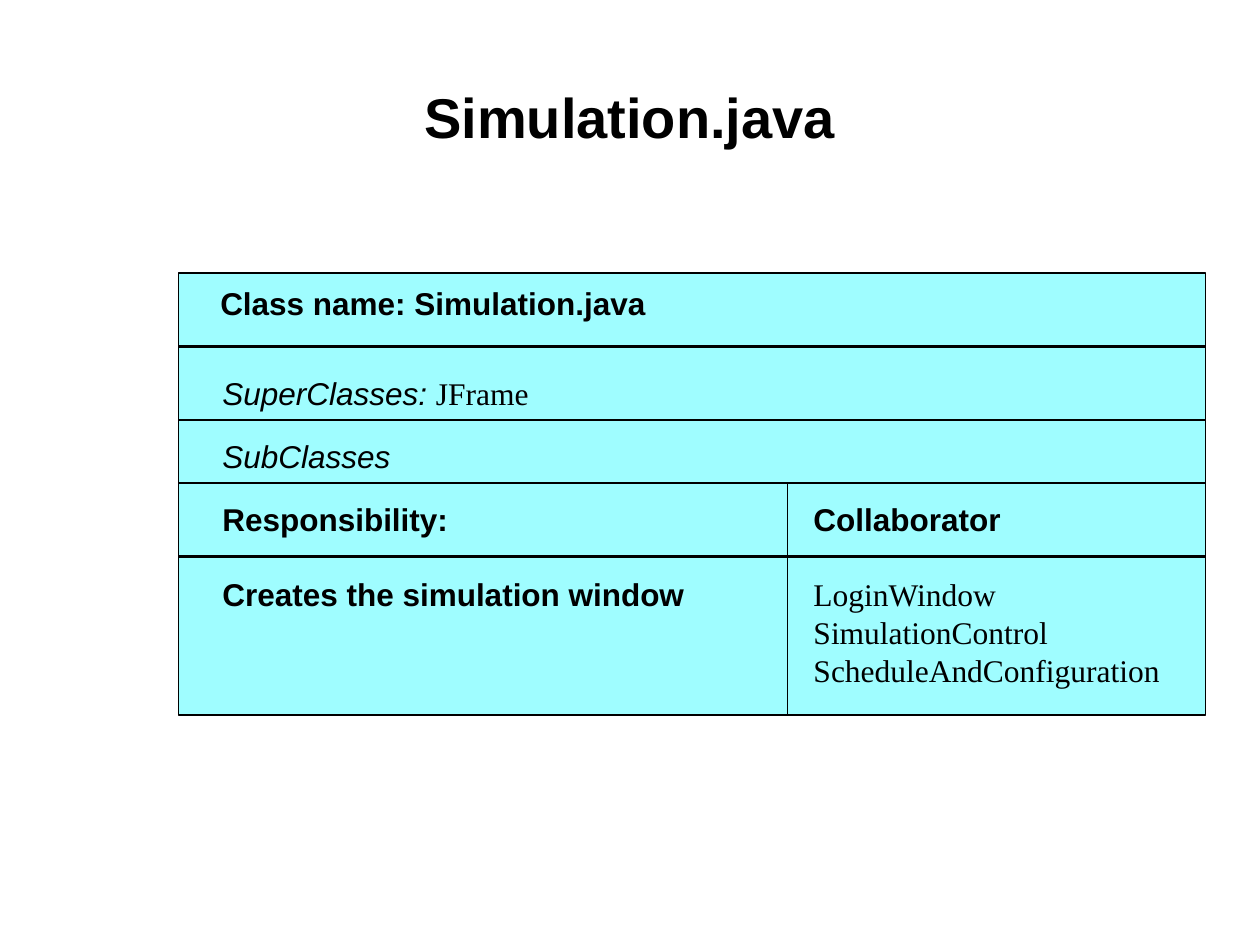
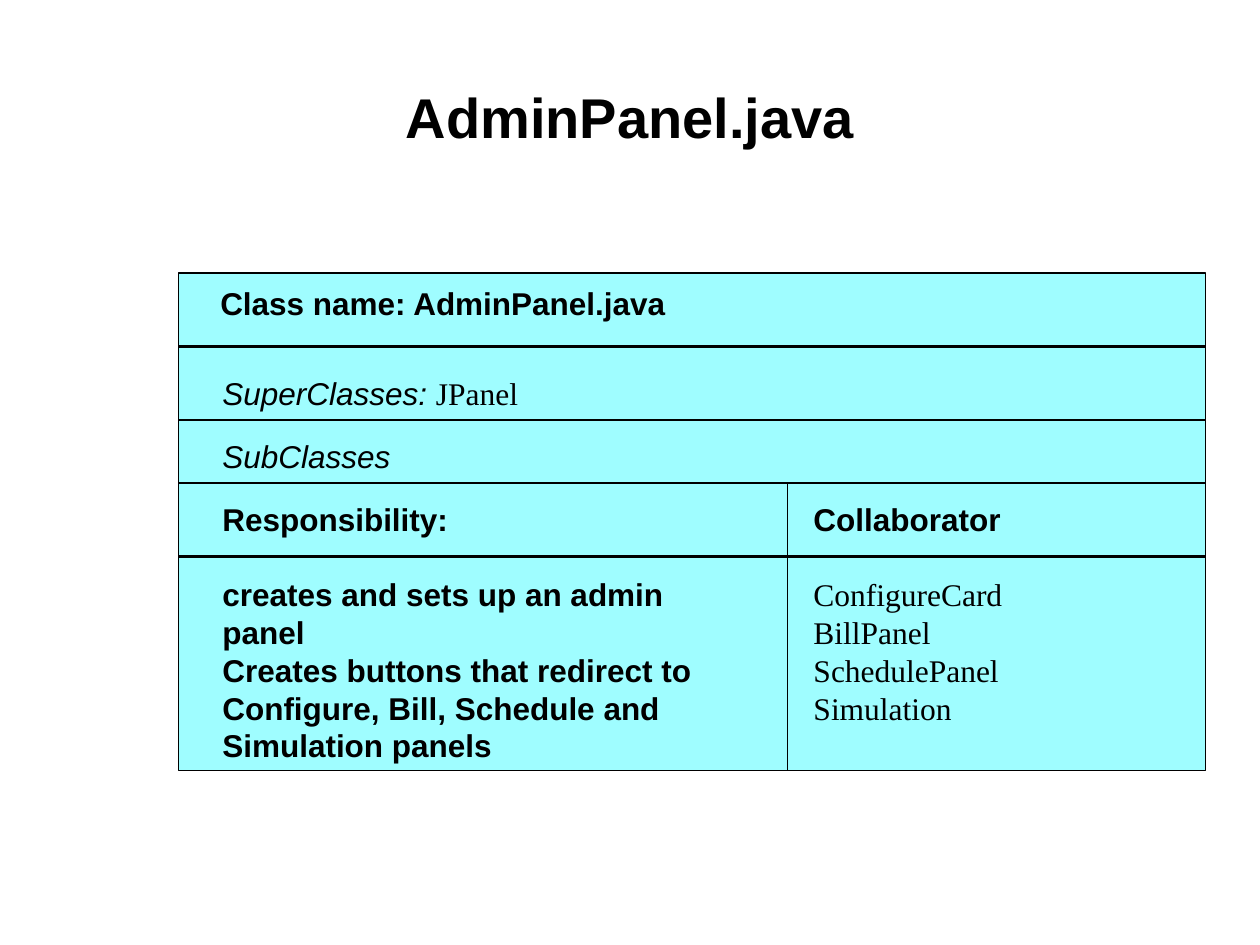
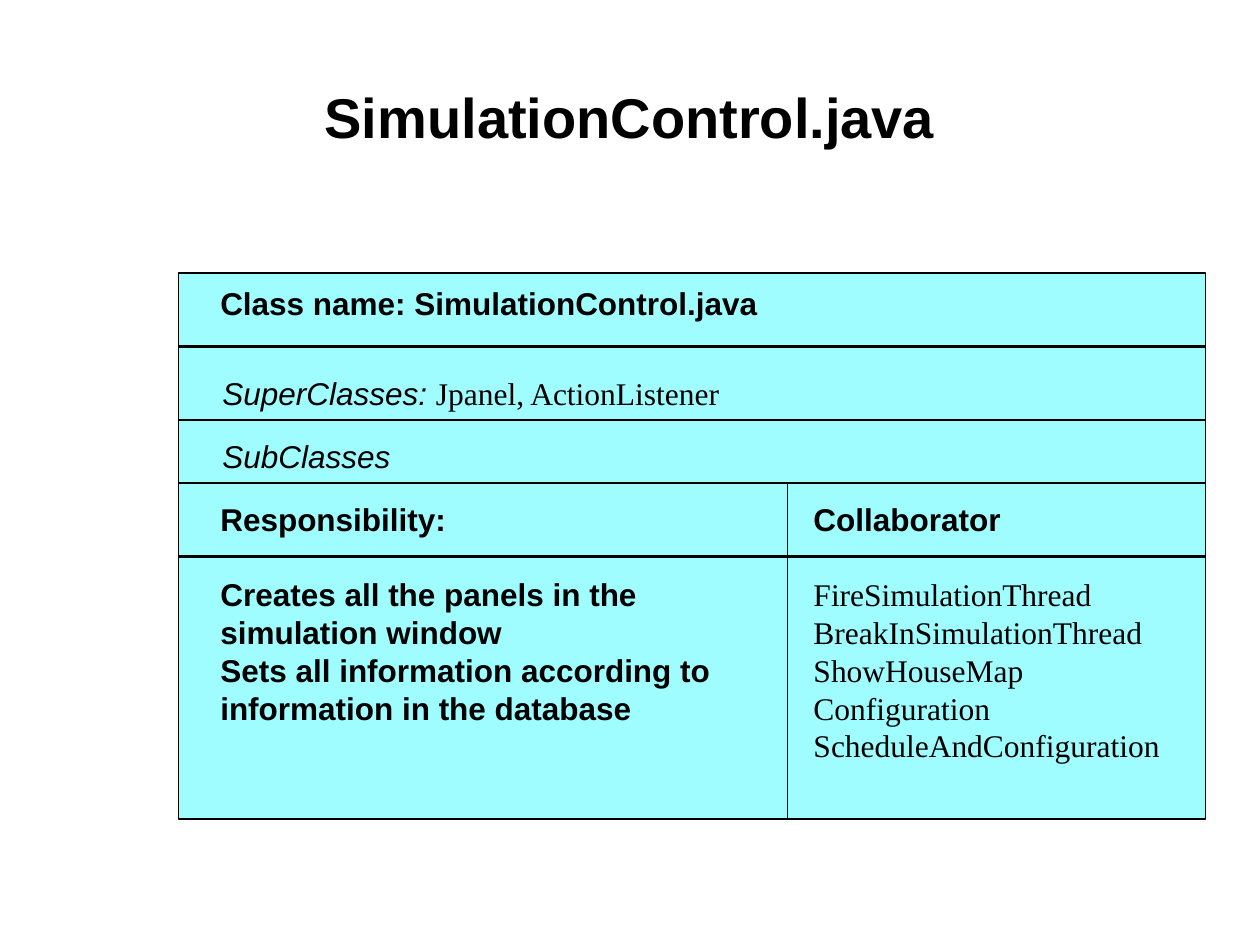
"""Build three class-responsibility-collaborator slides."""
from dataclasses import dataclass

from lxml import etree
from pptx import Presentation
from pptx.dml.color import RGBColor
from pptx.enum.shapes import MSO_CONNECTOR, MSO_SHAPE
from pptx.enum.text import MSO_ANCHOR, MSO_AUTO_SIZE, PP_ALIGN
from pptx.oxml.ns import qn
from pptx.util import Inches, Pt

STRAIGHT = MSO_CONNECTOR.STRAIGHT
RECTANGLE = MSO_SHAPE.RECTANGLE
MIDDLE = MSO_ANCHOR.MIDDLE
FIT_SHAPE = MSO_AUTO_SIZE.SHAPE_TO_FIT_TEXT
CENTER = PP_ALIGN.CENTER

COLORS = {"ink": "000000", "card": "9FFDFF"}
SANS, SERIF = "Arial", "Times New Roman"
TITLE_SIZE, TEXT_SIZE, LINE_PITCH = 32, 18, 21.6
TITLE_ONLY = 5

CELLS_PER_INCH = 12
TITLE_BOX = (6, 3.6, 108, 15)
CARD_LEFT, CARD_TOP, CARD_WIDTH = 17, 26, 97.8
DIVIDERS = ((7, 2.25), (14, 1.5), (20, 1.5), (27, 2.25))
SPLIT_COLUMN, SPLIT_ROW = 58, 20
NAME_INDENT, INDENT, COLLABORATOR_COLUMN = 2.8, 3, 59.3
NAME_ROW, SUPER_ROW, SUB_ROW, LISTS_ROW = 0.5, 9, 15, 21
ROW_TEXT_WIDTH, DUTIES_WIDTH, COLLABORATOR_WIDTH = 79.2, 52, 36
TEXT_HEIGHT = 4.8


@dataclass
class ClassCard:
    """Content of one class card."""
    name: str
    parents: str
    duties: list
    collaborators: list
    rows: float
    duties_indent: float = INDENT


CARDS = [
    ClassCard("Simulation.java", "JFrame", ["Creates the simulation window"],
              ["LoginWindow", "SimulationControl", "ScheduleAndConfiguration"], 42.1),
    ClassCard("AdminPanel.java", "JPanel",
              ["creates and sets up an admin panel",
               "Creates buttons that redirect to Configure, Bill, Schedule and "
               "Simulation panels"],
              ["ConfigureCard", "BillPanel", "SchedulePanel", "Simulation"], 47.4),
    ClassCard("SimulationControl.java", "Jpanel, ActionListener",
              ["Creates all the panels in the simulation window",
               "Sets all information according to information in the database"],
              ["FireSimulationThread", "BreakInSimulationThread", "ShowHouseMap",
               "Configuration", "ScheduleAndConfiguration"], 52, NAME_INDENT),
]


def grid(*cells):
    """Convert grid cells to slide lengths."""
    return [Inches(cell / CELLS_PER_INCH) for cell in cells]


def color(name):
    """Look up a palette colour."""
    return RGBColor.from_string(COLORS[name])


def style_font(font, face=SANS, size=TEXT_SIZE, bold=False, italic=False):
    """Apply the shared text look to a font."""
    font.name, font.size = face, Pt(size)
    font.bold, font.italic = bold, italic
    font.color.rgb = color("ink")


def add_title(page, text):
    """Place and format the slide title."""
    title = page.shapes.title
    title.left, title.top, title.width, title.height = grid(*TITLE_BOX)
    frame = title.text_frame
    frame.text = text
    frame.vertical_anchor = MIDDLE
    para = frame.paragraphs[0]
    para.alignment = CENTER
    style_font(para.font, size=TITLE_SIZE, bold=True)


def add_rule(page, start, end, weight):
    """Draw a straight rule between two grid points."""
    rule = page.shapes.add_connector(STRAIGHT, *grid(*start, *end))
    rule.line.color.rgb = color("ink")
    rule.line.width = Pt(weight)
    etree.SubElement(rule._element.spPr, qn("a:effectLst"))


def add_text(page, left, top, width, text, **style):
    """Add a text box holding one styled paragraph."""
    box = page.shapes.add_textbox(*grid(left, top, width, TEXT_HEIGHT))
    frame = box.text_frame
    frame.word_wrap = True
    frame.auto_size = FIT_SHAPE
    add_line(frame.paragraphs[0], text, **style)
    return frame


def add_line(para, text, **style):
    """Fill a paragraph with text at the shared line pitch."""
    para.line_spacing = Pt(LINE_PITCH)
    style_font(para.font, **style)
    para.add_run().text = text


def add_list(page, left, top, width, heading, items, **style):
    """Add a bold heading with its items one line below it."""
    frame = add_text(page, left, top, width, heading, bold=True)
    for index, item in enumerate(items):
        para = frame.add_paragraph()
        if index == 0:
            para.space_before = Pt(LINE_PITCH)
        add_line(para, item, **style)


def add_panel(page, left, top, width, rows):
    """Draw the card background with its dividing rules."""
    panel = page.shapes.add_shape(RECTANGLE, *grid(left, top, width, rows))
    panel.shadow.inherit = False
    panel.fill.solid()
    panel.fill.fore_color.rgb = color("card")
    panel.line.color.rgb = color("ink")
    panel.line.width = Pt(0.75)
    for row, weight in DIVIDERS:
        add_rule(page, (left, top + row), (left + width, top + row), weight)
    split = left + SPLIT_COLUMN
    add_rule(page, (split, top + SPLIT_ROW), (split, top + rows), 0.75)


def add_card(page, card, left, top, width):
    """Draw a class card with all its text."""
    add_panel(page, left, top, width, card.rows)
    add_text(page, left + NAME_INDENT, top + NAME_ROW, ROW_TEXT_WIDTH,
             f"Class name: {card.name}", bold=True)
    parents = add_text(page, left + INDENT, top + SUPER_ROW, ROW_TEXT_WIDTH,
                       "SuperClasses: ", italic=True)
    span = parents.paragraphs[0].add_run()
    span.text = card.parents
    style_font(span.font, face=SERIF)
    add_text(page, left + INDENT, top + SUB_ROW, ROW_TEXT_WIDTH,
             "SubClasses", italic=True)
    add_list(page, left + card.duties_indent, top + LISTS_ROW, DUTIES_WIDTH,
             "Responsibility:", card.duties, bold=True)
    add_list(page, left + COLLABORATOR_COLUMN, top + LISTS_ROW, COLLABORATOR_WIDTH,
             "Collaborator", card.collaborators, face=SERIF)


def main():
    """Build and save the deck."""
    deck = Presentation()
    deck.slide_width, deck.slide_height = Inches(10), Inches(7.5)
    for card in CARDS:
        page = deck.slides.add_slide(deck.slide_layouts[TITLE_ONLY])
        add_title(page, card.name)
        add_card(page, card, CARD_LEFT, CARD_TOP, CARD_WIDTH)
    deck.save("out.pptx")


if __name__ == "__main__":
    main()
